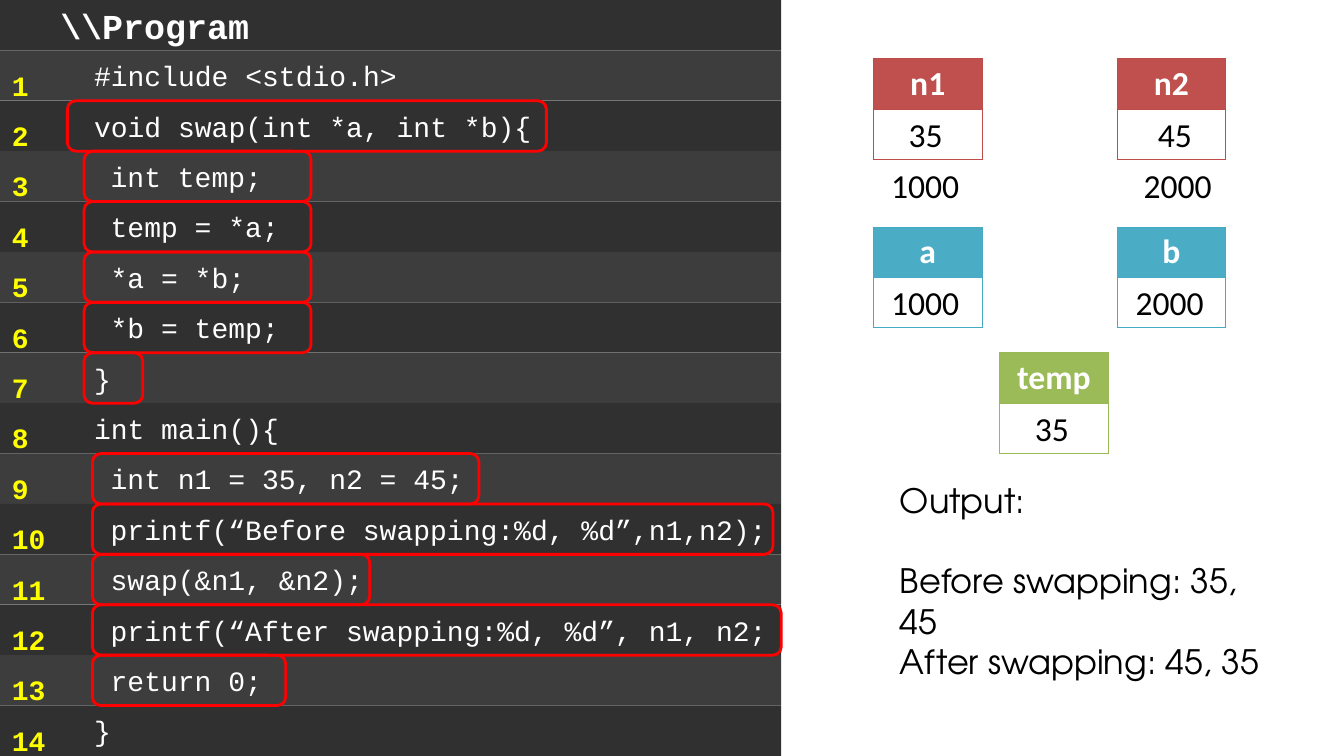
from lxml import etree
from pptx import Presentation
from pptx.dml.color import RGBColor
from pptx.enum.shapes import MSO_SHAPE
from pptx.enum.text import MSO_ANCHOR, PP_ALIGN
from pptx.oxml.ns import qn
from pptx.util import Cm, Pt

RECT, ROUND = MSO_SHAPE.RECTANGLE, MSO_SHAPE.ROUNDED_RECTANGLE
MIDDLE, LEFT, CENTER = MSO_ANCHOR.MIDDLE, PP_ALIGN.LEFT, PP_ALIGN.CENTER
MONO, SANS, GEOMETRIC = "Courier New", "Calibri", "TeX Gyre Adventor"
ROW = 1.27
TITLE = "\\\\Program"
OUTER, INNER = 2.37, 2.79  # text indents of the two code levels, in cm

# text, indent, and left and width of the red frame (None: no frame)
CODE = [
    ("#include <stdio.h>", OUTER, None),
    ("void swap(int *a, int *b){", OUTER, (1.7, 12.07)),
    ("int temp;", INNER, (2.12, 5.72)),
    ("temp = *a;", INNER, (2.12, 5.72)),
    ("*a = *b;", INNER, (2.12, 5.72)),
    ("*b = temp;", INNER, (2.12, 5.72)),
    ("}", OUTER, (2.12, 1.48)),
    ("int main(){", OUTER, None),
    ("int n1 = 35, n2 = 45;", INNER, (2.33, 9.74)),
    ("printf(“Before swapping:%d, %d”,n1,n2);", INNER, (2.33, 17.15)),
    ("swap(&n1, &n2);", INNER, (2.33, 6.99)),
    ("printf(“After swapping:%d, %d”, n1, n2;", INNER, (2.33, 17.36)),
    ("return 0;", INNER, (2.33, 4.87)),
    ("}", OUTER, None),
]

RED, BLUE, GREEN = ("C0504D", "BF4C48"), ("4BACC6", "46AAC5"), ("9BBB59", "98B955")

# name, (fill, border), left, top, and the texts below the name with their offsets
VARIABLES = [
    ("n1", RED, 22.01, 1.48, [("35", 0.64), ("1000", 0.2)]),
    ("n2", RED, 28.15, 1.48, [("45", 0.78), ("2000", 0.42)]),
    ("a", BLUE, 22.01, 5.72, [("1000", 0.2)]),
    ("b", BLUE, 28.15, 5.72, [("2000", 0.22)]),
    ("temp", GREEN, 25.19, 8.89, [("35", 0.64)]),
]


def rgb(value):
    return RGBColor.from_string(value)


def style(p, font, size, color, bold=False):
    for r in p.runs:
        r.font.name, r.font.size, r.font.bold = font, Pt(size), bold
        r.font.color.rgb = rgb(color)


def add_text(s, left, top, width, height, lines, font, size, color, bold=False):
    tf = s.shapes.add_textbox(Cm(left), Cm(top), Cm(width), Cm(height)).text_frame
    tf.word_wrap = True
    tf.text = "\n".join(lines)
    for p in tf.paragraphs:
        style(p, font, size, color, bold)
    return tf


def add_band(s, left, top, width, index, text, indent, size=20, bold=False):
    """Add one full-width row of code; the fill alternates with the index."""
    sp = s.shapes.add_shape(RECT, Cm(left), Cm(top), Cm(width), Cm(ROW))
    sp.shadow.inherit = False
    sp.fill.solid()
    sp.fill.fore_color.rgb = rgb("3D3D3D" if index % 2 else "303030")
    sp.line.fill.background()
    tf = sp.text_frame
    tf.text = text
    tf.word_wrap = True
    tf.vertical_anchor = MIDDLE
    tf.margin_left, tf.margin_right = Cm(indent), 0
    tf.paragraphs[0].alignment = LEFT
    style(tf.paragraphs[0], MONO, size, "FFFFFF", bold)


def add_frame(s, left, top, width):
    sp = s.shapes.add_shape(ROUND, Cm(left), Cm(top), Cm(width), Cm(ROW))
    sp.shadow.inherit = False
    sp.fill.background()
    sp.line.color.rgb = rgb("FF0000")
    sp.line.width = Pt(2)


def add_code(s, left, top, width):
    add_band(s, left, top, width, 0, TITLE, 1.52, 25, True)
    for i, (text, indent, _) in enumerate(CODE, 1):
        add_band(s, left, top + i * ROW, width, i, text, indent)
    numbers = [str(i) for i in range(1, len(CODE) + 1)]
    tf = add_text(s, left + 0.05, top + 1.17, 1.42, 18.03, numbers,
                  MONO, 20, "FFFF00", True)
    tf.margin_right = 0
    for p in tf.paragraphs:
        p.line_spacing = Pt(36)
    for i, (_, _, frame) in enumerate(CODE, 1):
        if frame:
            add_frame(s, left + frame[0], top + i * ROW, frame[1])


def set_borders(cell, color):
    tcPr = cell._tc.get_or_add_tcPr()
    for side in ("a:lnL", "a:lnR", "a:lnT", "a:lnB"):
        ln = etree.SubElement(tcPr, qn(side), w=str(Pt(0.75)))
        fill = etree.SubElement(ln, qn("a:solidFill"))
        etree.SubElement(fill, qn("a:srgbClr"), val=color)


def add_variable(s, left, top, name, colors, texts):
    """Add a two-row table for a variable, with its value and address below the name."""
    width = 2.74
    table = s.shapes.add_table(2, 1, Cm(left), Cm(top), Cm(width), Cm(2 * ROW)).table
    for row, color in enumerate((colors[0], "FFFFFF")):
        cell = table.cell(row, 0)
        set_borders(cell, colors[1])
        cell.fill.solid()
        cell.fill.fore_color.rgb = rgb(color)
    p = table.cell(0, 0).text_frame.paragraphs[0]
    p.text = name
    p.alignment = CENTER
    style(p, SANS, 24, "FFFFFF", True)
    for row, (text, offset) in enumerate(texts, 1):
        text_width = 1.7 if len(text) == 2 else width
        add_text(s, left + offset, top + row * ROW, text_width, ROW, [text],
                 SANS, 24, "000000")


def add_output(s, left, top, width, height):
    lines = ["Output:", "Before swapping: 35, 45", "After swapping: 45, 35"]
    tf = add_text(s, left, top, width, height, lines, GEOMETRIC, 24, "000000")
    tf.paragraphs[1].space_before = Pt(28.8)


def main():
    prs = Presentation()
    prs.slide_width, prs.slide_height = Cm(33.87), Cm(19.05)
    s = prs.slides.add_slide(prs.slide_layouts[6])
    add_code(s, 0, 0, 19.69)
    for name, colors, left, top, texts in VARIABLES:
        add_variable(s, left, top, name, colors, texts)
    add_output(s, 22.43, 11.96, 9.93, 5.38)
    prs.save("out.pptx")


if __name__ == "__main__":
    main()
